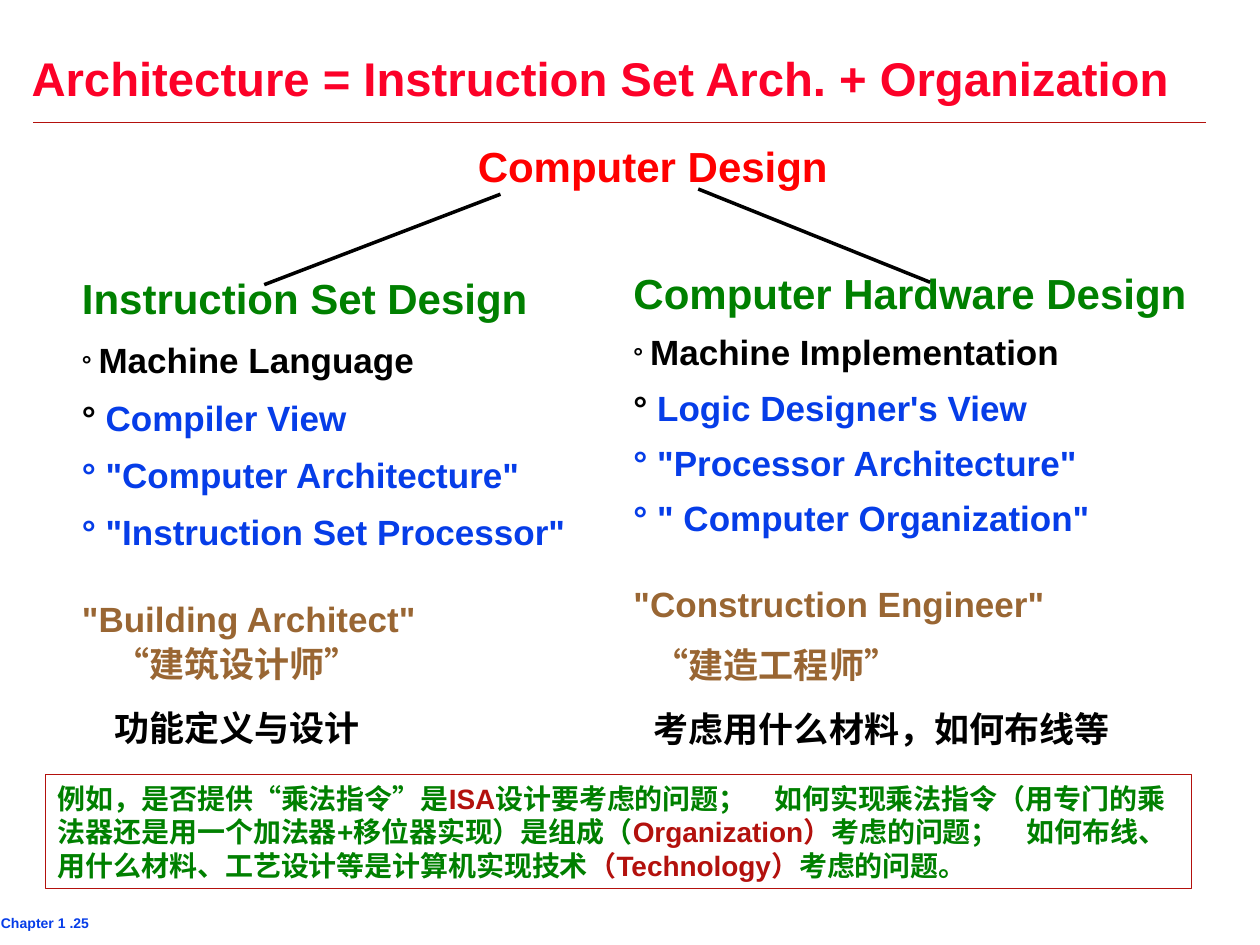
from dataclasses import dataclass

from pptx import Presentation
from pptx.dml.color import RGBColor
from pptx.enum.shapes import MSO_CONNECTOR as Connector, MSO_SHAPE as Shape
from pptx.enum.text import MSO_ANCHOR as Anchor, PP_ALIGN as Align
from pptx.oxml.ns import qn
from pptx.util import Pt
from lxml.etree import SubElement


@dataclass(frozen=True)
class Theme:
    sans: str = "Arial"
    serif: str = "Times New Roman"
    title_red: str = "FC0128"
    red: str = "FF0000"
    dark_red: str = "B3110D"
    green: str = "008000"
    blue: str = "063DE8"
    brown: str = "996633"
    black: str = "000000"
    title: int = 27
    heading: int = 24
    item: int = 20
    example: int = 16
    bullet: int = 14
    footer: int = 8


THEME = Theme()


@dataclass
class Span:
    text: str
    size: int
    color: str
    font: str = THEME.sans


@dataclass
class Para:
    spans: list
    before: float = 0
    spacing: float = 1
    hanging: float = 0
    align: Align = Align.LEFT


class PageBuilder:
    def __init__(self, page, theme):
        self.page = page
        self.theme = theme

    def fill_text(self, frame, paras, inset):
        """Write the paragraphs; inset is (horizontal, vertical) in points."""
        frame.word_wrap = True
        frame.vertical_anchor = Anchor.TOP
        frame.margin_left = frame.margin_right = Pt(inset[0])
        frame.margin_top = frame.margin_bottom = Pt(inset[1])
        for index, item in enumerate(paras):
            para = frame.add_paragraph() if index else frame.paragraphs[0]
            para.alignment = item.align
            para.line_spacing = item.spacing
            para.space_before = Pt(item.before)
            if item.hanging:
                properties = para._p.get_or_add_pPr()
                properties.set("marL", str(Pt(item.hanging)))
                properties.set("indent", str(-Pt(item.hanging)))
            for piece in item.spans:
                span = para.add_run()
                span.text = piece.text
                span.font.name = piece.font
                span.font.size = Pt(piece.size)
                span.font.bold = True
                span.font.color.rgb = RGBColor.from_string(piece.color)

    def text(self, bounds, paras, inset=(5, 2.2)):
        box = self.page.shapes.add_textbox(*map(Pt, bounds))
        self.fill_text(box.text_frame, paras, inset)

    def framed_text(self, bounds, paras):
        box = self.page.shapes.add_shape(Shape.RECTANGLE, *map(Pt, bounds))
        box.shadow.inherit = False
        box.fill.background()
        box.line.color.rgb = RGBColor.from_string(self.theme.dark_red)
        box.line.width = Pt(0.75)
        self.fill_text(box.text_frame, paras, (7.2, 3.6))

    def line(self, start, end, color, width):
        line = self.page.shapes.add_connector(
            Connector.STRAIGHT, *map(Pt, (*start, *end)))
        line.line.color.rgb = RGBColor.from_string(color)
        line.line.width = Pt(width)
        SubElement(line._element.spPr, qn("a:effectLst"))

    def design_column(self, bounds, heading, items, role, hanging, spacing, heading_spacing):
        """Heading, four bulleted views and the matching building role."""
        theme = self.theme
        first, second, *quoted = items
        rows = [
            [Span("° ", theme.bullet, theme.black), Span(first, theme.item, theme.black)],
            [Span("° ", theme.item, theme.black), Span(second, theme.item, theme.blue)],
            *([Span(f"° {item}", theme.item, theme.blue)] for item in quoted),
        ]
        self.text(bounds, [
            Para([Span(heading, theme.heading, theme.green)],
                 spacing=heading_spacing, hanging=hanging),
            *(Para(row, 11.2, spacing, hanging) for row in rows),
            Para([Span(role, theme.item, theme.brown)], 25, hanging=hanging),
        ])

    def chinese_note(self, bounds, role, duty):
        theme = self.theme
        self.text(bounds, [
            Para([Span(role, theme.item, theme.brown, theme.serif)]),
            Para([Span(duty, theme.item, theme.black, theme.serif)], 12.5),
        ], (7.2, 3.6))


def main():
    deck = Presentation()
    deck.slide_width, deck.slide_height = Pt(720), Pt(540)
    theme = THEME
    builder = PageBuilder(deck.slides.add_slide(deck.slide_layouts[6]), theme)

    builder.text((0, 520.5, 87, 13.5),
                 [Para([Span("Chapter 1 .25", theme.footer, theme.blue)])], (0.5, 2.2))
    builder.line((19, 70), (689, 70), theme.dark_red, 1)
    builder.text((13, 30.2, 697, 32.4), [Para(
        [Span("Architecture = Instruction Set Arch. + Organization",
              theme.title, theme.title_red)], spacing=0.87)])
    builder.text((228, 77.8, 290, 33), [Para(
        [Span("Computer Design", theme.heading, theme.red)],
        spacing=1.02, align=Align.CENTER)])

    builder.design_column(
        (357, 150.5, 342, 218), "Computer Hardware Design",
        ["Machine Implementation", "Logic Designer's View",
         '"Processor Architecture"', '" Computer Organization"'],
        '"Construction Engineer"', 16, 0.85, 1)
    builder.line((399, 108), (531.5, 161.3), theme.black, 2)
    builder.line((286, 111), (151, 162.7), theme.black, 2)
    builder.design_column(
        (41.8, 157, 300, 210), "Instruction Set Design",
        ["Machine Language", "Compiler View",
         '"Computer Architecture"', '"Instruction Set Processor"'],
        '"Building Architect"', 27, 0.9, 0.9)

    builder.chinese_note((58.3, 363.6, 183, 104), "“建筑设计师”", "功能定义与设计")
    builder.chinese_note((366.5, 364.3, 297.5, 104), "“建造工程师”", "考虑用什么材料，如何布线等")

    example = [
        ("例如，是否提供“乘法指令”是", theme.green, theme.serif),
        ("ISA", theme.dark_red, theme.sans),
        ("设计要考虑的问题；　如何实现乘法指令（用专门的乘法器还是用一个加法器+移位器实现）是组成（",
         theme.green, theme.sans),
        ("Organization）", theme.dark_red, theme.sans),
        ("考虑的问题；　如何布线、用什么材料、工艺设计等是计算机实现技术", theme.green, theme.sans),
        ("（Technology）", theme.dark_red, theme.sans),
        ("考虑的问题", theme.green, theme.sans),
        ("。", theme.green, theme.serif),
    ]
    builder.framed_text((26, 442.8, 655, 64.8), [Para(
        [Span(text, theme.example, color, font) for text, color, font in example])])

    deck.save("out.pptx")


if __name__ == "__main__":
    main()
